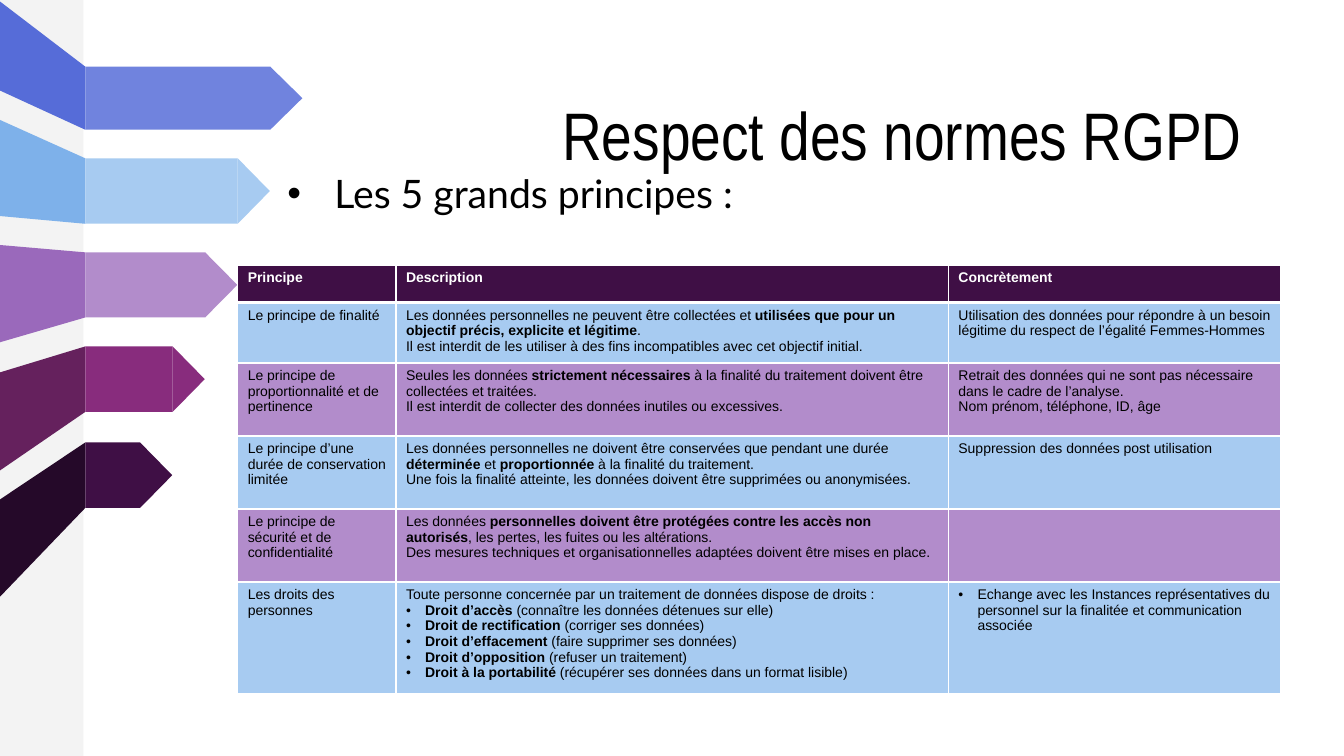
import pptx
import pptx.dml.color
import pptx.enum.shapes
import pptx.enum.text
import pptx.oxml
import pptx.oxml.ns
import pptx.util

Cm = pptx.util.Cm
Pt = pptx.util.Pt
RGBColor = pptx.dml.color.RGBColor
MSO_SHAPE = pptx.enum.shapes.MSO_SHAPE

BLACK = RGBColor(0x00, 0x00, 0x00)
WHITE = RGBColor(0xFF, 0xFF, 0xFF)
GREY = RGBColor(0xF3, 0xF3, 0xF3)
SKY = RGBColor(0xA7, 0xCB, 0xF1)
LILAC = RGBColor(0xB2, 0x8C, 0xCB)
PLUM = RGBColor(0x3F, 0x0F, 0x45)

TITLE = "Respect des normes RGPD"
SUBTITLE = "Les 5 grands principes :"

# ribbon colour, arrow colour, (outer top, outer bottom), (inner top, inner bottom)
RIBBONS = [
    (RGBColor(0x56, 0x6C, 0xD8), RGBColor(0x70, 0x83, 0xDE), (0, 2.26), (1.68, 3.27)),
    (RGBColor(0x7E, 0xB1, 0xEA), SKY, (3, 5.44), (3.99, 5.64)),
    (RGBColor(0x9A, 0x69, 0xBB), LILAC, (6.17, 8.64), (6.36, 8)),
    (RGBColor(0x65, 0x21, 0x5D), RGBColor(0x88, 0x2C, 0x7D), (9.4, 11.89), (8.73, 10.38)),
    (RGBColor(0x25, 0x09, 0x29), PLUM, (12.62, 15.09), (11.15, 12.8)),
]
RIBBON_LEFT, RIBBON_RIGHT = -0.05, 2.15
LONGEST_ARROW, ARROW_STEP, TIP = 6.81, 0.82, 0.81

COLUMN_WIDTHS = [3.99, 13.92, 8.38]
ROW_HEIGHTS = [0.94, 1.45, 1.84, 1.84, 1.84, 2.65]
ROWS = [
    (["Principe"], ["Description"], ["Concrètement"]),
    (["Le principe de finalité"],
     ["Les données personnelles ne peuvent être collectées et "
      "**utilisées que pour un objectif précis, explicite et légitime**.",
      "Il est interdit de les utiliser à des fins incompatibles avec cet objectif initial."],
     ["Utilisation des données pour répondre à un besoin légitime "
      "du respect de l’égalité Femmes-Hommes"]),
    (["Le principe de proportionnalité et de pertinence"],
     ["Seules les données **strictement nécessaires** à la finalité du traitement "
      "doivent être collectées et traitées.",
      "Il est interdit de collecter des données inutiles ou excessives."],
     ["Retrait des données qui ne sont pas nécessaire dans le cadre de l’analyse.",
      "Nom prénom, téléphone, ID, âge"]),
    (["Le principe d’une durée de conservation limitée"],
     ["Les données personnelles ne doivent être conservées que pendant une durée "
      "**déterminée** et **proportionnée** à la finalité du traitement.",
      "Une fois la finalité atteinte, les données doivent être supprimées ou anonymisées."],
     ["Suppression des données post utilisation"]),
    (["Le principe de sécurité et de confidentialité"],
     ["Les données **personnelles doivent être protégées contre les accès non autorisés**"
      ", les pertes, les fuites ou les altérations.",
      "Des mesures techniques et organisationnelles adaptées doivent être mises en place."],
     []),
    (["Les droits des personnes"],
     ["Toute personne concernée par un traitement de données dispose de droits :",
      "•**Droit d’accès** (connaître les données détenues sur elle)",
      "•**Droit de rectification** (corriger ses données)",
      "•**Droit d’effacement** (faire supprimer ses données)",
      "•**Droit d’opposition** (refuser un traitement)",
      "•**Droit à la portabilité** (récupérer ses données dans un format lisible)"],
     ["•Echange avec les Instances représentatives du personnel "
      "sur la finalitée et communication associée"]),
]


def paint(shape, color):
    shape.shadow.inherit = False
    shape.fill.solid()
    shape.fill.fore_color.rgb = color
    shape.line.fill.background()


def add_block(kind, left, top, width, height, color):
    shape = slide.shapes.add_shape(kind, Cm(left), Cm(top), Cm(width), Cm(height))
    paint(shape, color)
    return shape


def add_ribbon(color, outer, inner):
    corners = [(Cm(x), Cm(y)) for x, y in (
        (RIBBON_LEFT, outer[0]), (RIBBON_RIGHT, inner[0]),
        (RIBBON_RIGHT, inner[1]), (RIBBON_LEFT, outer[1]))]
    builder = slide.shapes.build_freeform(*corners[0])
    builder.add_line_segments(corners[1:])
    paint(builder.convert_to_shape(), color)


def add_arrow(color, top, bottom, shoulder):
    height = bottom - top
    add_block(MSO_SHAPE.RECTANGLE, RIBBON_RIGHT, top, shoulder - RIBBON_RIGHT, height, color)
    tip = add_block(MSO_SHAPE.ISOSCELES_TRIANGLE, shoulder + (TIP - height) / 2,
                    top + (height - TIP) / 2, height, TIP, color)
    tip.rotation = 90


def set_font(paragraph, name, size, color, bold=False):
    paragraph.font.name = name
    paragraph.font.size = Pt(size)
    paragraph.font.color.rgb = color
    paragraph.font.bold = bold


def add_bullet(paragraph, indent, hanging):
    properties = paragraph._p.get_or_add_pPr()
    properties.set("marL", str(Cm(indent)))
    properties.set("indent", str(-Cm(hanging)))
    for tag, attribute, value in (("buFont", "typeface", "Arial"), ("buChar", "char", "•")):
        bullet = pptx.oxml.parse_xml(
            f'<a:{tag} {pptx.oxml.ns.nsdecls("a")} {attribute}="{value}"/>')
        properties.insert_element_before(bullet, "a:tabLst", "a:defRPr", "a:extLst")


def add_text(text, left, top, width, height, size, font):
    frame = slide.shapes.add_textbox(Cm(left), Cm(top), Cm(width), Cm(height)).text_frame
    frame.word_wrap = True
    paragraph = frame.paragraphs[0]
    paragraph.text = text
    paragraph.line_spacing = 0.9
    set_font(paragraph, font, size, BLACK)
    return frame


def add_borders(cell, bottom):
    properties = cell._tc.get_or_add_tcPr()
    for side, width in (("L", 1), ("R", 1), ("T", 1), ("B", bottom)):
        properties.append(pptx.oxml.parse_xml(
            f'<a:ln{side} {pptx.oxml.ns.nsdecls("a")} w="{Pt(width)}">'
            f'<a:solidFill><a:srgbClr val="{WHITE}"/></a:solidFill></a:ln{side}>'))


def fill_cell(cell, lines, is_header, color):
    add_borders(cell, 3 if is_header else 1)
    cell.fill.solid()
    cell.fill.fore_color.rgb = color
    frame = cell.text_frame
    for index, line in enumerate(lines or [""]):
        paragraph = frame.add_paragraph() if index else frame.paragraphs[0]
        set_font(paragraph, "Arial", 10, WHITE if is_header else BLACK, is_header)
        if line.startswith("•"):
            add_bullet(paragraph, 0.48, 0.48)
        for part, text in enumerate(line.lstrip("•").split("**")):
            if text:
                run = paragraph.add_run()
                run.text = text
                if part % 2:
                    run.font.bold = True


presentation = pptx.Presentation()
presentation.slide_width, presentation.slide_height = Cm(33.87), Cm(19.05)
slide = presentation.slides.add_slide(presentation.slide_layouts[6])

add_block(MSO_SHAPE.RECTANGLE, 0, 0, 2.1, 19.05, GREY)
for ribbon_color, arrow_color, outer, inner in RIBBONS:
    add_ribbon(ribbon_color, outer, inner)
for index, (ribbon_color, arrow_color, outer, inner) in enumerate(RIBBONS):
    add_arrow(arrow_color, *inner, LONGEST_ARROW - index * ARROW_STEP)

title = add_text(TITLE, 7.8, 1.27, 23.75, 4.45, 48, "Arial Narrow")
title.vertical_anchor = pptx.enum.text.MSO_ANCHOR.MIDDLE
title.paragraphs[0].alignment = pptx.enum.text.PP_ALIGN.RIGHT
subtitle = add_text(SUBTITLE, 6.91, 4.27, 23.75, 2.18, 28, "Lato")
subtitle.paragraphs[0].space_before = Pt(10)
add_bullet(subtitle.paragraphs[0], 1.27, 1.19)

table = slide.shapes.add_table(
    len(ROWS), len(COLUMN_WIDTHS), Cm(5.99), Cm(6.68),
    Cm(sum(COLUMN_WIDTHS)), Cm(sum(ROW_HEIGHTS))).table
for column, width in zip(table.columns, COLUMN_WIDTHS):
    column.width = Cm(width)
for row_index, (row, height) in enumerate(zip(ROWS, ROW_HEIGHTS)):
    table.rows[row_index].height = Cm(height)
    row_color = PLUM if row_index == 0 else SKY if row_index % 2 else LILAC
    for column_index, lines in enumerate(row):
        fill_cell(table.cell(row_index, column_index), lines, row_index == 0, row_color)

presentation.save("out.pptx")
